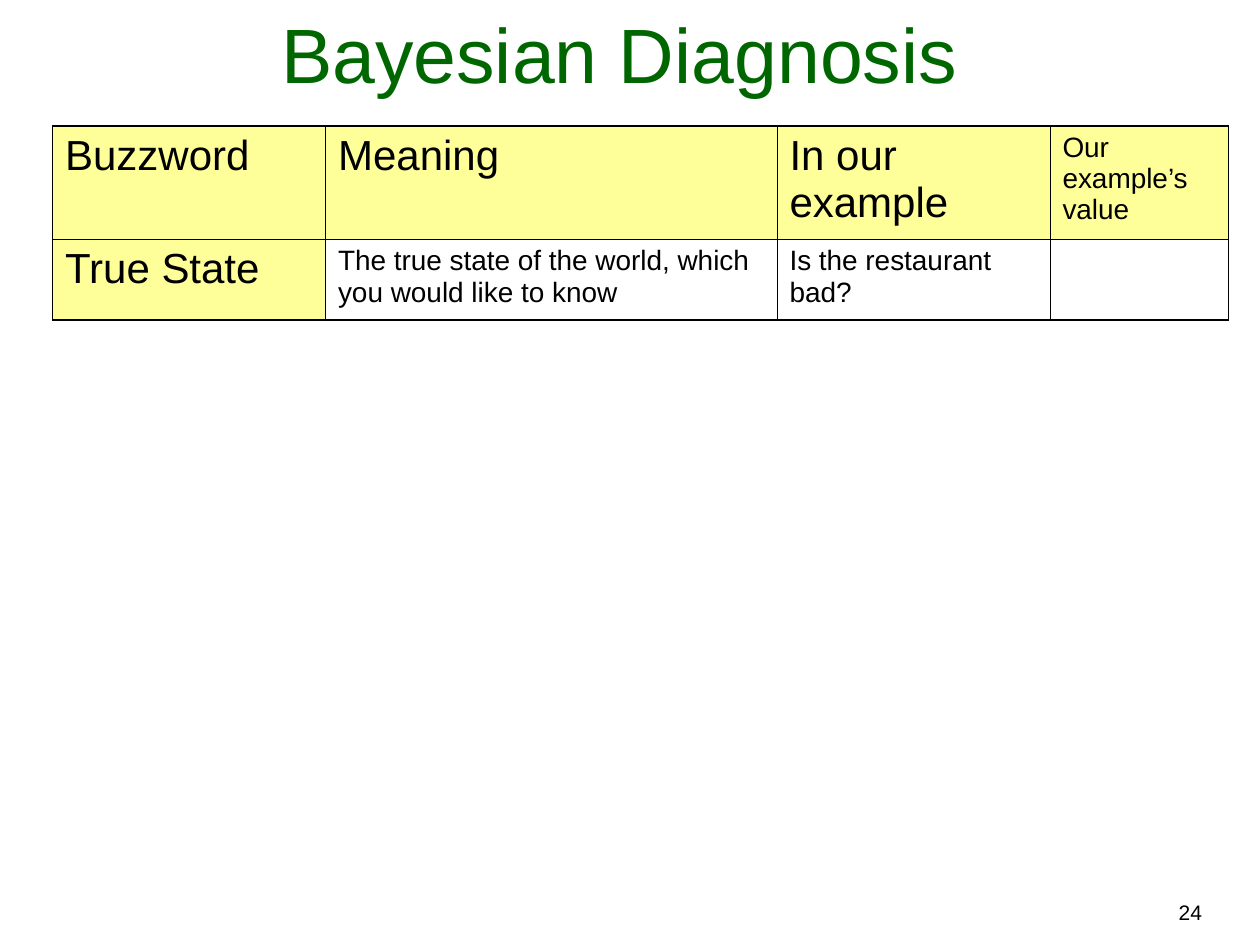
from lxml import etree
from pptx import Presentation
from pptx import util as u
from pptx.dml import color
from pptx.enum import text
from pptx.oxml import ns

INK, GREEN, YELLOW = "000000", "006600", "FFFF99"
LARGE, SMALL = 24, 16
THICK, THIN = 1.08, 0.45
ROWS = [
    [("Buzzword", LARGE), ("Meaning", LARGE), ("In our example", LARGE), ("Our example’s value", SMALL)],
    [
        ("True State", LARGE),
        ("The true state of the world, which you would like to know", SMALL),
        ("Is the restaurant bad?", SMALL),
        ("", SMALL),
    ],
]


def rgb(value):
    return color.RGBColor.from_string(value)


def apply(target, values):
    for name, value in values.items():
        setattr(target, name, value)


class SlideBuilder:
    """Holds the text style and the current slide, and adds elements to it."""

    def __init__(self, slide, font_name):
        self.slide = slide
        self.font_name = font_name

    def fill_text(self, frame, words, size, ink=INK, align=text.PP_ALIGN.LEFT):
        paragraph = frame.paragraphs[0]
        paragraph.alignment = align
        font_values = {"name": self.font_name, "size": u.Pt(size)}
        apply(paragraph.font, font_values)
        if words:
            run = paragraph.add_run()
            run.text = words
            apply(run.font, font_values)
            run.font.color.rgb = rgb(ink)

    def label(self, box, words, size, ink, align, anchor):
        shape = self.slide.shapes.add_textbox(*map(u.Pt, box))
        apply(shape.text_frame, {"word_wrap": True, "vertical_anchor": anchor})
        self.fill_text(shape.text_frame, words, size, ink, align)

    def border(self, cell, side, width):
        properties = cell._tc.get_or_add_tcPr()
        line = etree.SubElement(properties, ns.qn(f"a:ln{side}"), w=str(u.Pt(width)))
        fill = etree.SubElement(line, ns.qn("a:solidFill"))
        etree.SubElement(fill, ns.qn("a:srgbClr"), val=INK)

    def table(self, left, top, widths, heights, rows):
        box = (left, top, sum(widths), sum(heights))
        shape = self.slide.shapes.add_table(len(heights), len(widths), *map(u.Pt, box))
        table = shape.table
        apply(table, {"first_row": False, "horz_banding": False})
        for column, width in zip(table.columns, widths):
            column.width = u.Pt(width)
        for row, height in zip(table.rows, heights):
            row.height = u.Pt(height)
        last_row, last_column = len(heights) - 1, len(widths) - 1
        for i, row in enumerate(rows):
            for j, (words, size) in enumerate(row):
                cell = table.cell(i, j)
                outer = {"L": j == 0, "R": j == last_column, "T": i == 0, "B": i == last_row}
                for side, is_outer in outer.items():
                    self.border(cell, side, THICK if is_outer else THIN)
                if i == 0 or j == 0:
                    cell.fill.solid()
                    cell.fill.fore_color.rgb = rgb(YELLOW)
                else:
                    cell.fill.background()
                self.fill_text(cell.text_frame, words, size)


def main():
    presentation = Presentation()
    apply(presentation, {"slide_width": u.Pt(720), "slide_height": u.Pt(540)})
    slide = presentation.slides.add_slide(presentation.slide_layouts[6])
    builder = SlideBuilder(slide, "Arial")
    align, anchor = text.PP_ALIGN, text.MSO_ANCHOR
    builder.label((412, 510.5, 282, 21.6), "24", 12, INK, align.RIGHT, anchor.TOP)
    builder.label((18, 6, 672, 54), "Bayesian Diagnosis", 44, GREEN, align.CENTER, anchor.BOTTOM)
    builder.table(30, 72, [156, 258, 156, 102], [64.5, 46], ROWS)
    presentation.save("out.pptx")


if __name__ == "__main__":
    main()
